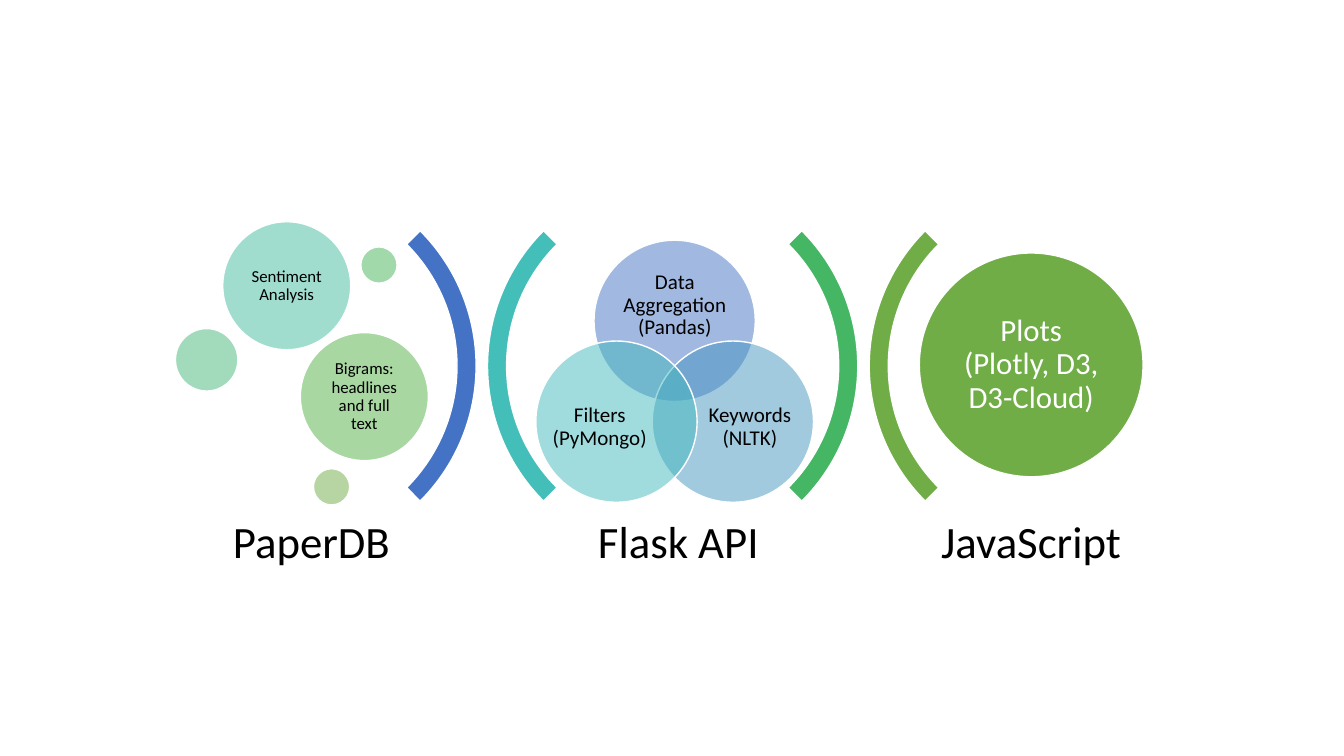
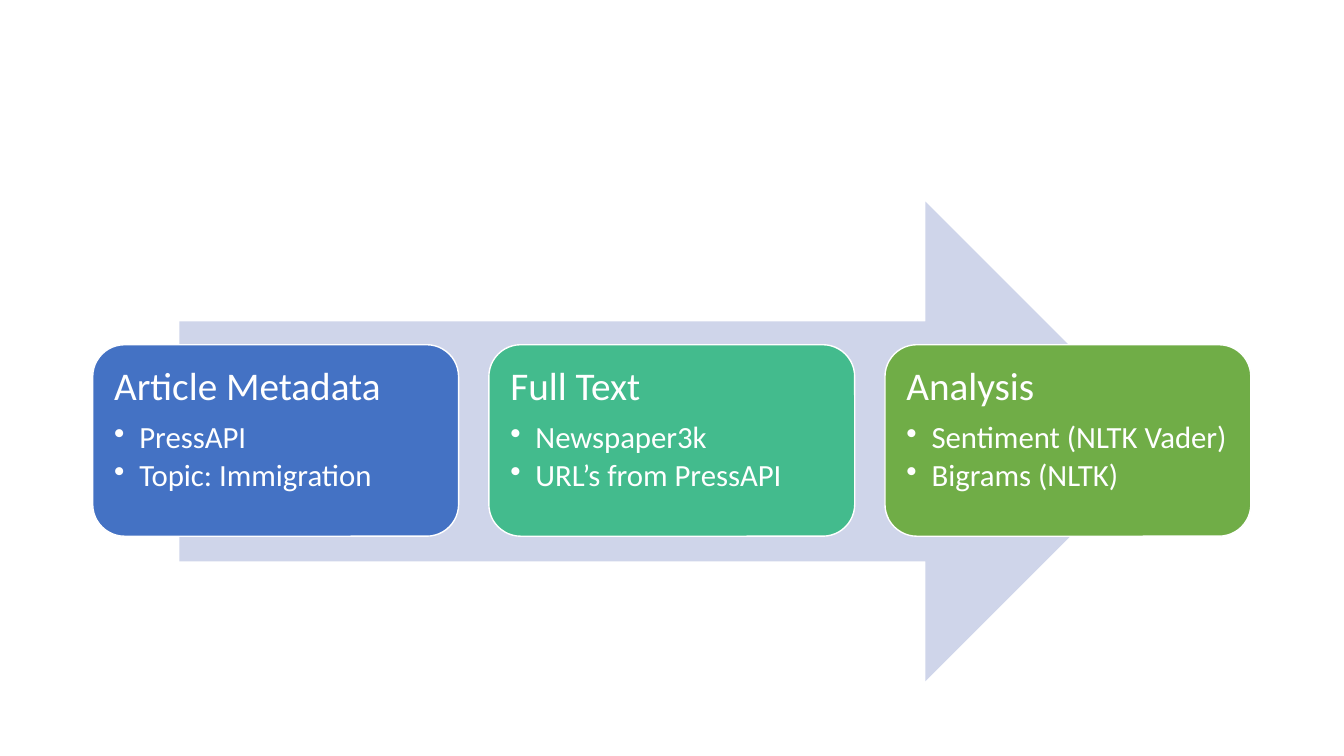
from math import cos, radians, sin

from lxml import etree
from pptx import Presentation
from pptx import util as u
from pptx.dml.color import RGBColor
from pptx.enum import shapes, text
from pptx.oxml.ns import qn

CELL = u.Inches(1) / 3  # square grid: 40 columns by 22.5 rows
FONT = "Calibri"
WHITE = RGBColor(0xFF, 0xFF, 0xFF)
BLACK = RGBColor(0x00, 0x00, 0x00)
PALE = RGBColor(0xCF, 0xD5, 0xEA)
BLUE = RGBColor(0x44, 0x72, 0xC4)
STEEL = RGBColor(0x44, 0x96, 0xC1)
AQUA = RGBColor(0x43, 0xB8, 0xBF)
TEAL = RGBColor(0x43, 0xBE, 0xB9)
MINT = RGBColor(0x43, 0xBC, 0xA0)
JADE = RGBColor(0x43, 0xBB, 0x8D)
FERN = RGBColor(0x44, 0xB9, 0x7B)
LEAF = RGBColor(0x45, 0xB6, 0x64)
LIME = RGBColor(0x45, 0xB5, 0x59)
MOSS = RGBColor(0x52, 0xB1, 0x46)
GREEN = RGBColor(0x70, 0xAD, 0x47)
KIND = shapes.MSO_SHAPE
MID = text.PP_ALIGN.CENTER


def draw(slide, kind, box, fill, fade=None, edge=True):
    """Add a shape; box is in grid cells, fade is the opacity in percent."""
    item = slide.shapes.add_shape(kind, *[u.Emu(round(v * CELL)) for v in box])
    item.shadow.inherit = False
    item.fill.solid()
    item.fill.fore_color.rgb = fill
    if fade:
        tint = item.fill._xPr.find(qn("a:solidFill"))[0]
        etree.SubElement(tint, qn("a:alpha")).set("val", str(fade * 1000))
    if edge:
        item.line.color.rgb = WHITE
        item.line.width = u.Pt(1)
    else:
        item.line.fill.background()
    return item


def write(item, head, size, ink, inset, align=MID, points=()):
    """Put a heading and optional bullet points into a shape or text box."""
    frame = item.text_frame
    top = text.MSO_ANCHOR.TOP if points else text.MSO_ANCHOR.MIDDLE
    form = {"word_wrap": True, "vertical_anchor": top}
    for side in ("left", "right", "top", "bottom"):
        form["margin_" + side] = u.Inches(inset)
    for name, value in form.items():
        setattr(frame, name, value)
    rows = [(head, size, 0.35)] + [(point, 22, 0.15) for point in points]
    for i, (line, pt, gap) in enumerate(rows):
        para = frame.add_paragraph() if i else frame.paragraphs[0]
        form = {"alignment": align, "line_spacing": 0.9, "space_after": u.Pt(pt * gap)}
        for name, value in form.items():
            setattr(para, name, value)
        run = para.add_run()
        run.text = line
        run.font.name, run.font.size = FONT, u.Pt(pt)
        run.font.color.rgb = ink
        if i:
            props = para._p.get_or_add_pPr()
            props.set("marL", str(u.Inches(0.25)))
            props.set("indent", str(-u.Inches(0.25)))
            etree.SubElement(props, qn("a:buChar")).set("char", "•")


deck = Presentation()
deck.slide_width = u.Emu(round(40 * CELL))
deck.slide_height = u.Emu(round(22.5 * CELL))
blank = deck.slide_layouts[6]

# Slide 1: three stages between curved brackets
stack = deck.slides.add_slide(blank)
for turn, left, fills in ((90, 2.79, (BLUE, LEAF)), (270, 14.51, (TEAL, GREEN))):
    for i, fill in enumerate(fills):
        arc = draw(stack, KIND.BLOCK_ARC, (left + i * 11.36, 5.2, 11.38, 11.38), fill)
        arc.rotation = turn
        for n, value in enumerate((135, 189, 0.05)):
            arc.adjustments[n] = value

# Venn circles stand on a ring around their common centre
for angle, fill in ((-90, BLUE), (30, STEEL), (150, AQUA)):
    x = 20.08 + 2 * cos(radians(angle))
    y = 11.55 + 2 * sin(radians(angle))
    draw(stack, KIND.OVAL, (x - 2.4, y - 2.4, 4.8, 4.8), fill, 50)

labels = (
    ("PaperDB", 32, 0.13, (4.95, 15.06, 8.64, 2.28)),
    ("Flask API", 32, 0.13, (15.87, 15.06, 8.64, 2.28)),
    ("JavaScript", 32, 0.13, (26.37, 15.06, 8.64, 2.28)),
    ("Data Aggregation (Pandas)", 15, 0, (18.33, 8.01, 3.51, 2.16)),
    ("Keywords (NLTK)", 15, 0, (20.88, 11.4, 2.88, 2.64)),
    ("Filters (PyMongo)", 15, 0, (16.41, 11.4, 2.88, 2.64)),
)
for label, size, inset, box in labels:
    field = stack.shapes.add_textbox(*[u.Emu(round(v * CELL)) for v in box])
    write(field, label, size, BLACK, inset)

bubbles = (
    (6.63, 6.6, 3.81, MINT, "Sentiment Analysis"),
    (5.22, 9.78, 1.86, FERN, ""),
    (10.74, 7.35, 1.08, LIME, ""),
    (8.94, 9.9, 3.81, MOSS, "Bigrams: headlines and full text"),
    (9.33, 13.95, 1.08, GREEN, ""),
)
for x, y, size, fill, label in bubbles:
    bubble = draw(stack, KIND.OVAL, (x, y, size, size), fill, 50)
    if label:
        write(bubble, label, 12, BLACK, 0.05)

plots = draw(stack, KIND.OVAL, (27.36, 7.53, 6.66, 6.66), GREEN)
write(plots, "Plots (Plotly, D3, D3-Cloud)", 22, WHITE, 0.09)

# Slide 2: three cards on an arrow
flow = deck.slides.add_slide(blank)
draw(flow, KIND.RIGHT_ARROW, (5.34, 6, 29.34, 14.28), PALE, edge=False)
cards = (
    ("Article Metadata", BLUE, ("PressAPI", "Topic: Immigration")),
    ("Full Text", JADE, ("Newspaper3k", "URL’s from PressAPI")),
    ("Analysis", GREEN, ("Sentiment (NLTK Vader)", "Bigrams (NLTK)")),
)
for i, (head, fill, points) in enumerate(cards):
    card = draw(flow, KIND.ROUNDED_RECTANGLE, (2.76 + i * 11.79, 10.26, 10.89, 5.7), fill)
    write(card, head, 28, WHITE, 0.12, text.PP_ALIGN.LEFT, points)

deck.save("out.pptx")
